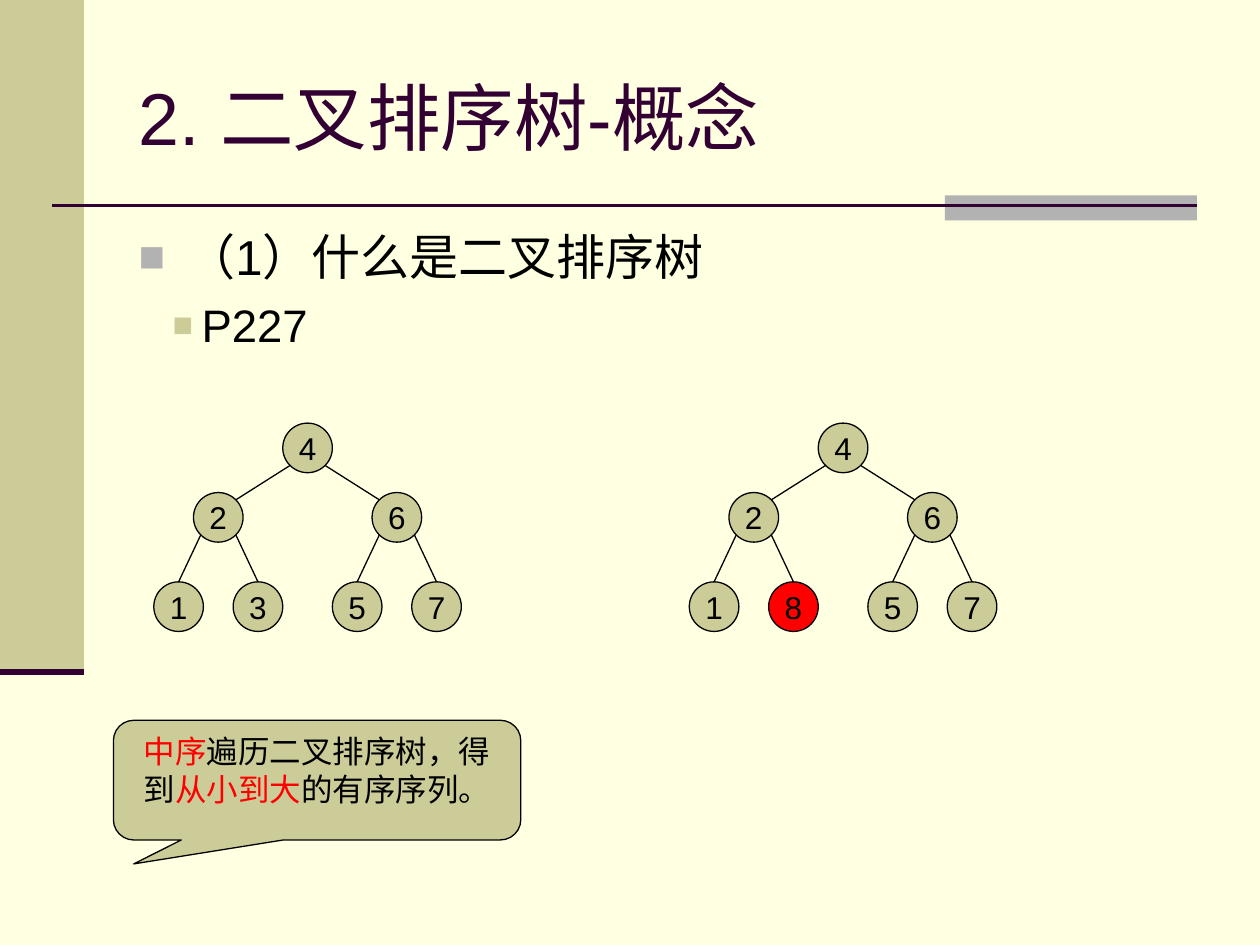
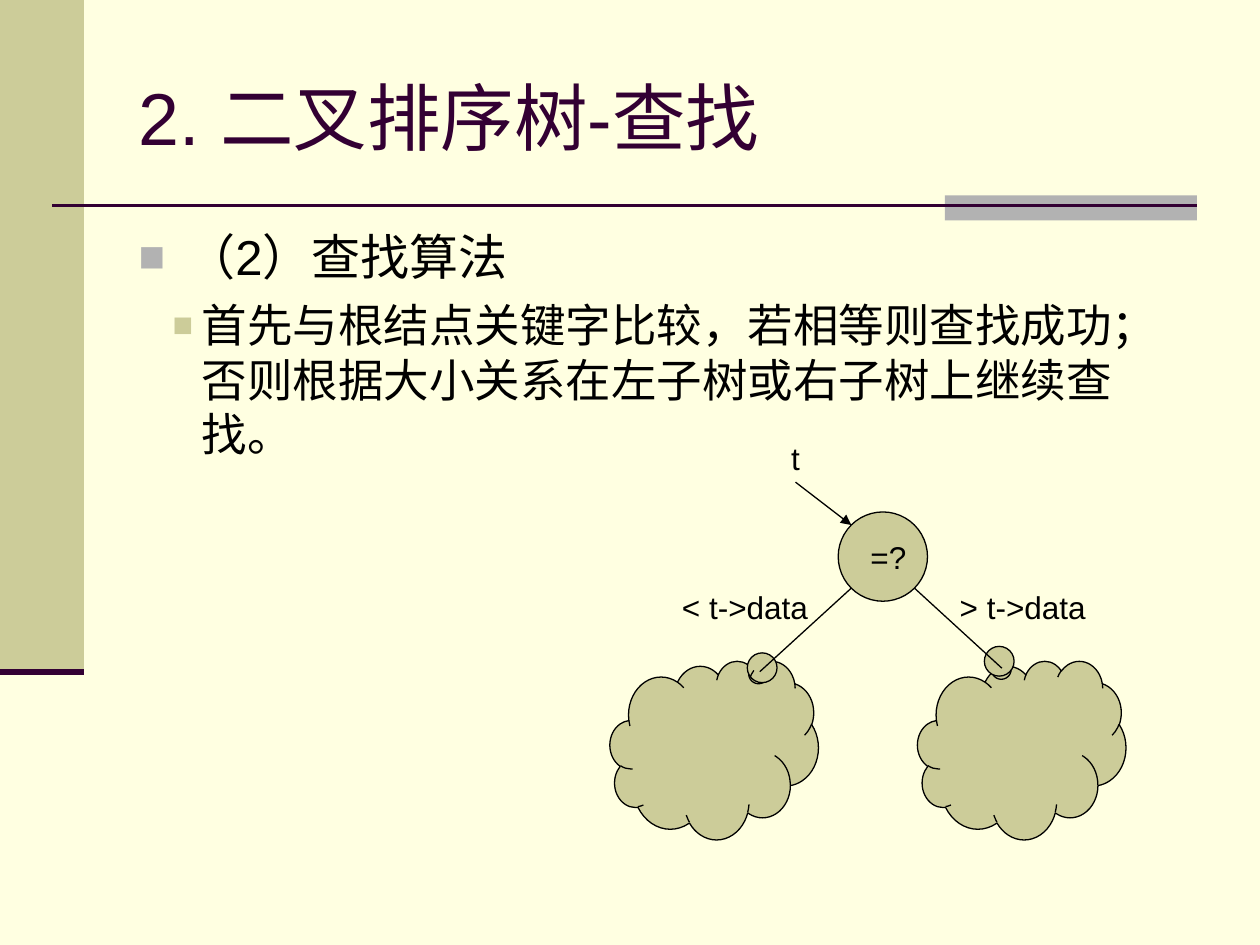
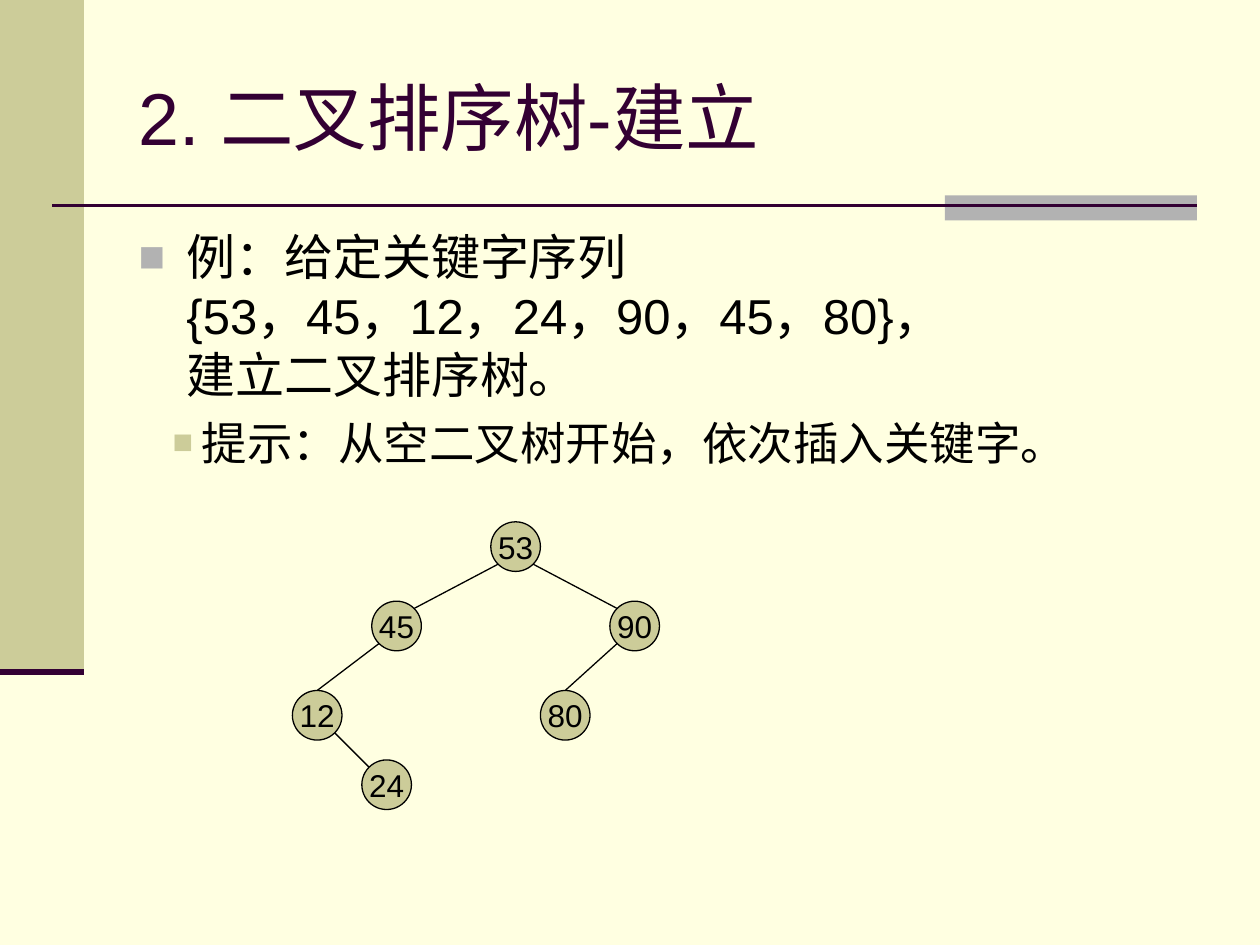
from lxml.etree import SubElement
from pptx import Presentation
from pptx.dml.color import RGBColor
from pptx.enum.shapes import MSO_CONNECTOR, MSO_SHAPE
from pptx.enum.text import MSO_ANCHOR, MSO_AUTO_SIZE, PP_ALIGN
from pptx.oxml.ns import qn
from pptx.util import Inches, Mm, Pt

W, H = Inches(10), Inches(7.5)
UNIT = W / 120          # slide grid: 120 columns by 90 rows
CELL = Mm(2)            # diagram grid
NODE = 5                # node diameter in cells
FONT = "Arial"
PAPER, KHAKI, GREY, PLUM = "FFFFE1", "CCCC99", "B2B2B2", "330033"
BLACK, RED = "000000", "FF0000"

# bullet colour, bullet size, font size, left margin, first-line indent, space before
LEVELS = [(GREY, 90, 28, 0.38, -0.38, 7), (KHAKI, 75, 26, 0.5, -0.23, 6.5)]

# label, column, row, parent label, whether the edge ends at the node's upper corner
SORTED_TREE = [
    ("4", 13, 0, None, False),
    ("2", 4, 7, "4", True), ("6", 22, 7, "4", True),
    ("1", 0, 16, "2", False), ("3", 8, 16, "2", False),
    ("5", 18, 16, "6", False), ("7", 26, 16, "6", False),
]
UNSORTED_TREE = [("8", *node[1:]) if node[0] == "3" else node for node in SORTED_TREE]
BUILT_TREE = [
    ("53", 20, 0, None, False),
    ("45", 8, 8, "53", True), ("90", 32, 8, "53", True),
    ("12", 0, 17, "45", False), ("80", 25, 17, "90", False),
    ("24", 7, 24, "12", True),
]


def rgb(color):
    return RGBColor.from_string(color)


def grid(*values):
    return [round(v * UNIT) for v in values]


def cells(origin, x, y, w, h):
    """Turn a box in diagram cells into slide lengths."""
    left, top = grid(*origin)
    return [round(v) for v in (left + x * CELL, top + y * CELL, w * CELL, h * CELL)]


def add_run(p, text, size, color=BLACK):
    r = p.add_run()
    r.text = text
    r.font.name, r.font.size = FONT, Pt(size)
    r.font.color.rgb = rgb(color)


def add_shape(slide, kind, box, fill, outlined=True):
    sp = slide.shapes.add_shape(kind, *box)
    sp.shadow.inherit = False
    sp.fill.solid()
    sp.fill.fore_color.rgb = rgb(fill)
    if outlined:
        sp.line.color.rgb = rgb(BLACK)
        sp.line.width = Pt(0.75)
    else:
        sp.line.fill.background()
    return sp


def add_line(slide, start, end, color=BLACK, width=0.75, arrow=False):
    line = slide.shapes.add_connector(MSO_CONNECTOR.STRAIGHT, *start, *end)
    line.line.color.rgb = rgb(color)
    line.line.width = Pt(width)
    if arrow:
        SubElement(line.line._get_or_add_ln(), qn("a:tailEnd"), type="triangle")
    SubElement(line.element.spPr, qn("a:effectLst"))
    return line


def add_label(slide, box, text):
    tf = slide.shapes.add_textbox(*box).text_frame
    tf.word_wrap, tf.auto_size = False, MSO_AUTO_SIZE.SHAPE_TO_FIT_TEXT
    add_run(tf.paragraphs[0], text, 18)


def corner(sp, dx, dy):
    """Point on a circle at 45 degrees; dx and dy are -1 or 1."""
    reach = sp.width / 2 * 0.707
    return (round(sp.left + sp.width / 2 + dx * reach),
            round(sp.top + sp.height / 2 + dy * reach))


def add_frame(prs, slide):
    """Draw the shared bands and rules, then hand them to the slide master."""
    parts = [
        add_shape(slide, MSO_SHAPE.RECTANGLE, grid(0, 0, 8, 64), KHAKI, False),
        add_shape(slide, MSO_SHAPE.RECTANGLE, grid(90, 18.6, 24, 2.4), GREY, False),
        add_line(slide, grid(5, 19.6), grid(114, 19.6), PLUM, 1.5),
        add_line(slide, grid(0, 64), grid(8, 64), PLUM, 3.5),
    ]
    tree = prs.slide_master.shapes.element
    for i, sp in enumerate(parts):
        sp.element.xpath(".//p:cNvPr")[0].set("id", str(100 + i))
        tree.insert(2 + i, sp.element)


def place(holder, box, anchor):
    holder.left, holder.top, holder.width, holder.height = box
    tf = holder.text_frame
    tf.word_wrap, tf.auto_size, tf.vertical_anchor = True, MSO_AUTO_SIZE.NONE, anchor
    return tf


def add_bullet(p, level, lines):
    color, bullet_size, size, margin, indent, before = LEVELS[level]
    p.level = level
    p.space_before = Pt(before)
    pPr = p._p.get_or_add_pPr()
    pPr.set("marL", str(Inches(margin)))
    pPr.set("indent", str(Inches(indent)))
    pPr.set("hangingPunct", "0")
    SubElement(SubElement(pPr, qn("a:buClr")), qn("a:srgbClr"), val=color)
    SubElement(pPr, qn("a:buSzPct"), val=str(bullet_size * 1000))
    SubElement(pPr, qn("a:buChar"), char="■")
    for i, line in enumerate(lines.split("\n")):
        if i:
            p.add_line_break()
        add_run(p, line, size)


def add_slide(prs, topic, *bullets):
    """Add a slide with its title and one bullet per outline level."""
    slide = prs.slides.add_slide(prs.slide_layouts[1])
    title, body = slide.placeholders
    p = place(title, grid(12, 3.6, 102, 15), MSO_ANCHOR.MIDDLE).paragraphs[0]
    p.alignment = PP_ALIGN.LEFT
    add_run(p, "2. 二叉排序树-" + topic, 42, PLUM)
    tf = place(body, grid(12, 21, 102, 59.4), MSO_ANCHOR.TOP)
    for level, lines in enumerate(bullets):
        add_bullet(tf.add_paragraph() if level else tf.paragraphs[0], level, lines)
    return slide


def add_tree(slide, origin, nodes, marked=None):
    circles = {}
    for label, x, y, parent, at_corner in nodes:
        sp = add_shape(slide, MSO_SHAPE.OVAL, cells(origin, x, y, NODE, NODE),
                       RED if label == marked else KHAKI)
        tf = sp.text_frame
        tf.word_wrap, tf.vertical_anchor = False, MSO_ANCHOR.MIDDLE
        p = tf.paragraphs[0]
        p.alignment = PP_ALIGN.CENTER
        add_run(p, label, 18)
        circles[label] = sp
        if parent:
            above = circles[parent]
            side = 1 if sp.left > above.left else -1
            top = (sp.left + sp.width // 2, sp.top)
            add_line(slide, corner(above, side, 1),
                     corner(sp, -side, -1) if at_corner else top)


def add_callout(slide, box, pieces):
    sp = add_shape(slide, MSO_SHAPE.ROUNDED_RECTANGULAR_CALLOUT, box, KHAKI)
    for i, value in enumerate((-0.45, 0.7, 0.17)):
        sp.adjustments[i] = value
    tf = sp.text_frame
    tf.word_wrap, tf.vertical_anchor = True, MSO_ANCHOR.TOP
    p = tf.paragraphs[0]
    p.alignment = PP_ALIGN.CENTER
    for text, color in pieces:
        add_run(p, text, 18, color)


def add_search_diagram(slide, origin):
    root = add_shape(slide, MSO_SHAPE.OVAL, cells(origin, 23, 8, 9, 9), KHAKI)
    for x, tail in ((31, (-0.1, -0.46)), (0, (0.22, -0.44))):
        cloud = add_shape(slide, MSO_SHAPE.CLOUD_CALLOUT,
                          cells(origin, x, 23, 21, 18), KHAKI)
        cloud.adjustments[0], cloud.adjustments[1] = tail
    for side, x, y in ((-1, 15.1, 24.1), (1, 39.5, 23.75)):
        add_line(slide, corner(root, side, 1), cells(origin, x, y, 0, 0)[:2])
    add_line(slide, cells(origin, 18.7, 5, 0, 0)[:2], corner(root, -1, -1), arrow=True)
    for text, x, y, w in (("< t->data", 6, 15, 15.4), ("> t->data", 34, 15, 15.4),
                          ("t", 17, 0, 3.5), ("=?", 25, 10, 6.3)):
        add_label(slide, cells(origin, x, y, w, NODE), text)


def main():
    prs = Presentation()
    prs.slide_width, prs.slide_height = W, H
    fill = prs.slide_master.background.fill
    fill.solid()
    fill.fore_color.rgb = rgb(PAPER)

    concept = add_slide(prs, "概念", "（1）什么是二叉排序树", "P227")
    add_frame(prs, concept)
    add_tree(concept, (14.65, 40.3), SORTED_TREE)
    add_tree(concept, (65.65, 40.3), UNSORTED_TREE, marked="8")
    add_callout(concept, grid(10.8, 68.6, 38.8, 11.4),
                [("中序", RED), ("遍历二叉排序树，得到", BLACK),
                 ("从小到大", RED), ("的有序序列。", BLACK)])

    search = add_slide(prs, "查找", "（2）查找算法",
                       "首先与根结点关键字比较，若相等则查找成功；"
                       "否则根据大小关系在左子树或右子树上继续查找。")
    add_search_diagram(search, (58.1, 41.2))

    build = add_slide(prs, "建立",
                      "例：给定关键字序列\n{53，45，12，24，90，45，80}，\n建立二叉排序树。",
                      "提示：从空二叉树开始，依次插入关键字。")
    add_tree(build, (27.85, 49.7), BUILT_TREE)
    prs.save("out.pptx")


if __name__ == "__main__":
    main()
